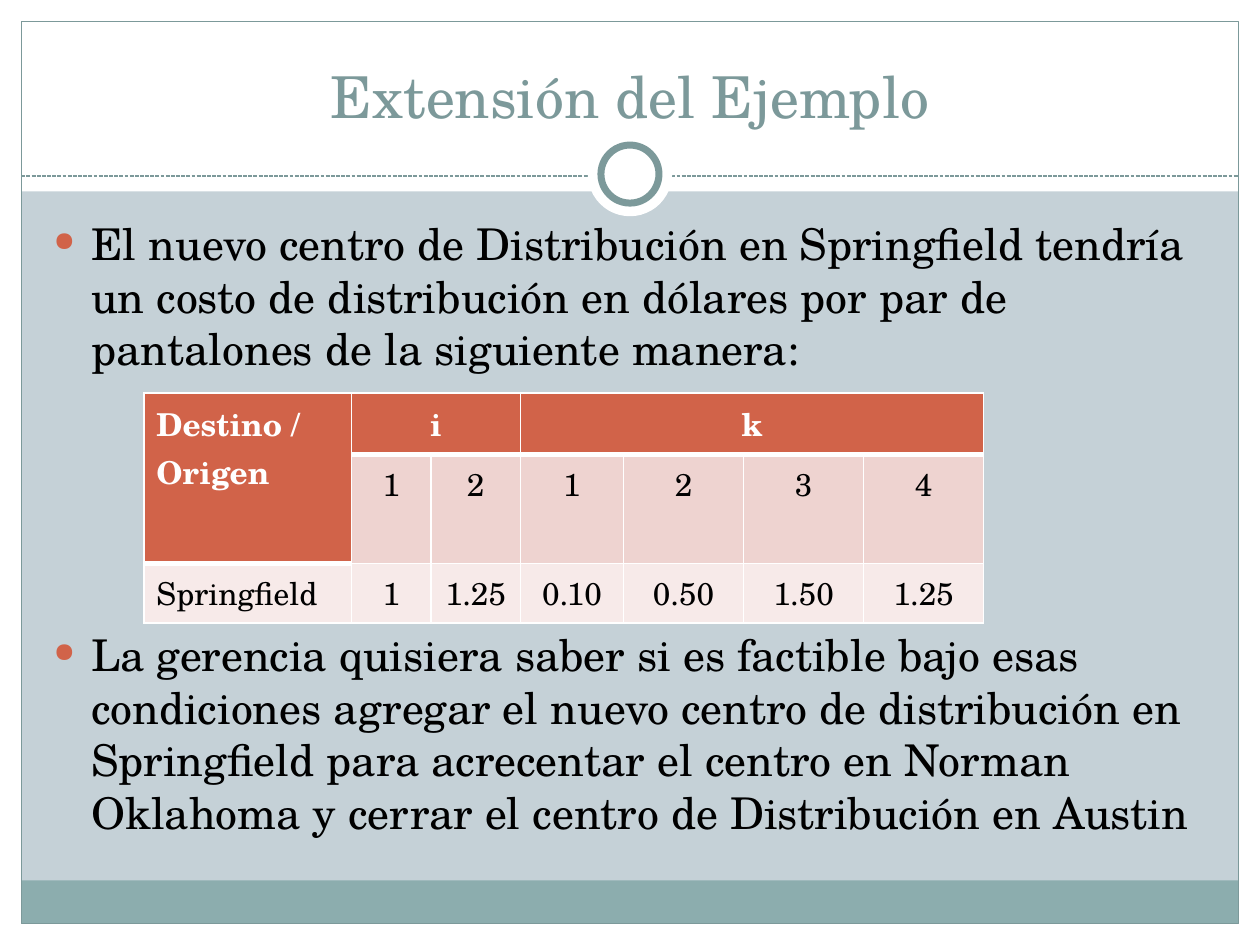
from dataclasses import dataclass
from lxml.etree import SubElement
from pptx import Presentation
from pptx.dml.color import RGBColor
from pptx.enum.dml import MSO_LINE
from pptx.enum.shapes import MSO_CONNECTOR, MSO_SHAPE
from pptx.enum.text import MSO_ANCHOR, PP_ALIGN
from pptx.oxml.ns import qn
from pptx.util import Cm, Pt


@dataclass(frozen=True)
class Theme:
    font: str = "TeX Gyre Schola"
    background: str = "C5D1D7"
    white: str = "FFFFFF"
    black: str = "000000"
    teal: str = "7C999A"
    band: str = "8CADAE"
    accent: str = "D16349"
    row_dark: str = "EED3D0"
    row_light: str = "F7EAE9"
    title_size: int = 33
    body_size: int = 25
    table_size: int = 18


THEME = Theme()


def color(value):
    return RGBColor.from_string(value)


def style_runs(para, size, ink, bold=False):
    for run in para.runs:
        run.font.name = THEME.font
        run.font.size = Pt(size)
        run.font.bold = bold
        run.font.color.rgb = color(ink)


def add_plain(page, kind, left, top, width, height, fill=None, line=None, weight=0.75):
    shape = page.shapes.add_shape(kind, Cm(left), Cm(top), Cm(width), Cm(height))
    shape.shadow.inherit = False
    if fill:
        shape.fill.solid()
        shape.fill.fore_color.rgb = color(fill)
    else:
        shape.fill.background()
    if line:
        shape.line.color.rgb = color(line)
        shape.line.width = Pt(weight)
    else:
        shape.line.fill.background()
    return shape


def add_frame(page, width, height, margin, header_height):
    inner_width, inner_height = width - 2 * margin, height - 2 * margin
    bottom, band_height = height - margin, 0.87
    for box in (
        (0, bottom, width, margin),
        (0, 0, width, header_height),
        (0, 0, margin, height),
        (width - margin, 0, margin, height),
    ):
        add_plain(page, MSO_SHAPE.RECTANGLE, *box, fill=THEME.white)
    add_plain(page, MSO_SHAPE.RECTANGLE, margin, bottom - band_height,
              inner_width, band_height, fill=THEME.band)
    add_plain(page, MSO_SHAPE.RECTANGLE, margin, margin,
              inner_width, inner_height, line=THEME.teal)


def add_divider(page, left, right, top):
    rule = page.shapes.add_connector(MSO_CONNECTOR.STRAIGHT, Cm(left), Cm(top), Cm(right), Cm(top))
    rule.line.color.rgb = color(THEME.teal)
    rule.line.width = Pt(0.75)
    rule.line.dash_style = MSO_LINE.SQUARE_DOT
    SubElement(rule._element.spPr, qn("a:effectLst"))
    center_x, center_y = (left + right) / 2, top - 0.04
    for diameter, line in ((1.7, None), (1.17, THEME.teal)):
        add_plain(page, MSO_SHAPE.OVAL, center_x - diameter / 2, center_y - diameter / 2,
                  diameter, diameter, fill=THEME.white, line=line, weight=4)


def add_text_box(page, left, top, width, height, anchor):
    box = page.shapes.add_textbox(Cm(left), Cm(top), Cm(width), Cm(height))
    box.text_frame.word_wrap = True
    box.text_frame.vertical_anchor = anchor
    return box.text_frame


def add_title(page, text, left, top, width, height):
    frame = add_text_box(page, left, top, width, height, MSO_ANCHOR.BOTTOM)
    frame.text = text
    para = frame.paragraphs[0]
    para.alignment = PP_ALIGN.CENTER
    style_runs(para, THEME.title_size, THEME.teal)


def set_bullet(para):
    props = para._p.get_or_add_pPr()
    props.set("marL", str(Cm(0.76)))
    props.set("indent", str(-Cm(0.76)))
    bullet_color = SubElement(props, qn("a:buClr"))
    SubElement(bullet_color, qn("a:srgbClr"), val=THEME.accent)
    SubElement(props, qn("a:buSzPct"), val="62000")
    SubElement(props, qn("a:buChar"), char="●")


def add_bullets(page, bullets, left, top, width, height):
    frame = add_text_box(page, left, top, width, height, MSO_ANCHOR.TOP)
    frame.text = "\n".join(text for text, gap in bullets)
    for para, (text, gap) in zip(frame.paragraphs, bullets):
        para.space_before = Pt(gap)
        set_bullet(para)
        style_runs(para, THEME.body_size, THEME.black)


def set_borders(cell, is_first_row, is_header):
    props = cell._tc.get_or_add_tcPr()
    edges = {"lnL": 1, "lnR": 1, "lnT": 1, "lnB": 3 if is_header else 1}
    if not is_first_row:
        del edges["lnT"]
    for position, (edge, weight) in enumerate(edges.items()):
        line = SubElement(props, qn("a:" + edge), w=str(Pt(weight)))
        SubElement(SubElement(line, qn("a:solidFill")), qn("a:srgbClr"), val=THEME.white)
        props.insert(position, line)


def add_cost_table(page, rows, merges, left, top, widths, heights):
    holder = page.shapes.add_table(len(heights), len(widths), Cm(left), Cm(top),
                                   Cm(sum(widths)), Cm(sum(heights)))
    table = holder.table
    for column, width in zip(table.columns, widths):
        column.width = Cm(width)
    for row, height in zip(table.rows, heights):
        row.height = Cm(height)
    row_fills = (THEME.accent, THEME.row_dark, THEME.row_light)
    for row_index, values in enumerate(rows):
        for column_index, value in enumerate(values):
            cell = table.cell(row_index, column_index)
            is_header = row_index == 0 or (row_index, column_index) == (1, 0)
            cell.text = value
            cell.fill.solid()
            cell.fill.fore_color.rgb = color(THEME.accent if is_header else row_fills[row_index])
            set_borders(cell, row_index == 0, is_header)
            para = cell.text_frame.paragraphs[0]
            para.alignment = PP_ALIGN.CENTER if column_index else PP_ALIGN.LEFT
            style_runs(para, THEME.table_size, THEME.white if is_header else THEME.black, is_header)
    for first, last in merges:
        table.cell(*first).merge(table.cell(*last))


def build_slide(deck):
    page = deck.slides.add_slide(deck.slide_layouts[6])
    page.background.fill.solid()
    page.background.fill.fore_color.rgb = color(THEME.background)
    add_frame(page, 25.4, 19.05, 0.43, 3.86)
    add_divider(page, 0.43, 24.97, 3.55)
    add_title(page, "Extensión del Ejemplo", 0.85, 0.63, 23.7, 2.12)
    add_bullets(page, (
        ("El nuevo centro de Distribución en Springfield tendría un costo de distribución "
         "en dólares por par de pantalones de la siguiente manera:", 5),
        ("La gerencia quisiera saber si es factible bajo esas condiciones agregar el nuevo "
         "centro de distribución en Springfield para acrecentar el centro en Norman Oklahoma "
         "y cerrar el centro de Distribución en Austin", 145),
    ), 0.83, 4.25, 23.62, 12.7)
    add_cost_table(page, (
        ("Destino / Origen", "i", "", "k", "", "", ""),
        ("", "1", "2", "1", "2", "3", "4"),
        ("Springfield", "1", "1.25", "0.10", "0.50", "1.50", "1.25"),
    ), (((0, 0), (1, 0)), ((0, 1), (0, 2)), ((0, 3), (0, 6))),
        2.9, 7.92, (4.19, 1.6, 1.8, 2.08, 2.42, 2.42, 2.42), (1.24, 2.2, 1.2))


deck = Presentation()
deck.slide_width, deck.slide_height = Cm(25.4), Cm(19.05)
build_slide(deck)
deck.save("out.pptx")
